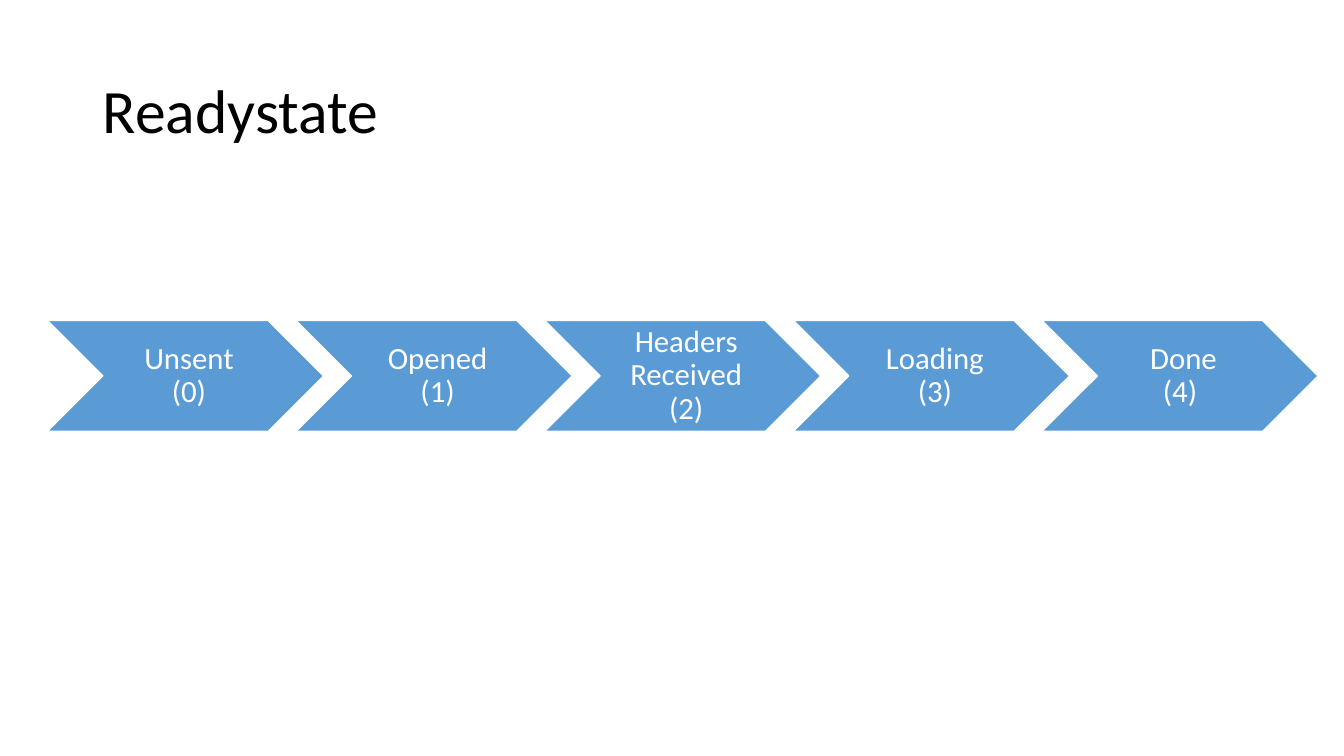
from pptx import Presentation
from pptx import util as u
from pptx.dml.color import RGBColor
from pptx.enum import shapes, text

# Content
TITLE = "Readystate"
STATES = ["Unsent\n(0)", "Opened\n(1)", "Headers Received (2)", "Loading\n(3)", "Done\n(4) "]

THEME = {
    "font": "Calibri",
    "ink": RGBColor(0x00, 0x00, 0x00),
    "paper": RGBColor(0xFF, 0xFF, 0xFF),
    "step": RGBColor(0x5B, 0x9B, 0xD5),
    "title": 44,
    "label": 22,
}

# Layout, in inches
WIDE, HIGH = 13.33, 7.5
TITLE_BOX = (0.92, 0.4, 11.5, 1.45)
STEP_W, STEP_H = 2.74, 1.1
LEFT, TOP = 0.47, 3.18
PITCH = 0.9 * STEP_W  # each step overlaps the last by a tenth


def place(shape, *box):
    shape.left, shape.top, shape.width, shape.height = map(u.Inches, box)


def write(shape, words, size, color, align):
    frame = shape.text_frame
    frame.word_wrap = True
    frame.vertical_anchor = text.MSO_ANCHOR.MIDDLE
    para = frame.paragraphs[0]
    para.text = words
    para.alignment = align
    para.line_spacing = 0.9
    para.font.name = THEME["font"]
    para.font.size = u.Pt(size)
    para.font.color.rgb = color
    return frame


def add_step(slide, index, words):
    box = (LEFT + index * PITCH, TOP, STEP_W, STEP_H)
    step = slide.shapes.add_shape(shapes.MSO_SHAPE.CHEVRON, *map(u.Inches, box))
    step.shadow.inherit = False
    step.fill.solid()
    step.fill.fore_color.rgb = THEME["step"]
    step.line.color.rgb = THEME["paper"]
    step.line.width = u.Pt(1)
    frame = write(step, words, THEME["label"], THEME["paper"], text.PP_ALIGN.CENTER)
    frame.margin_left = u.Inches(0.1)
    frame.margin_right = frame.margin_top = frame.margin_bottom = u.Inches(0.03)


def main():
    deck = Presentation()
    deck.slide_width, deck.slide_height = u.Inches(WIDE), u.Inches(HIGH)
    slide = deck.slides.add_slide(deck.slide_layouts[5])

    # Title
    title = slide.shapes.title
    place(title, *TITLE_BOX)
    write(title, TITLE, THEME["title"], THEME["ink"], text.PP_ALIGN.LEFT)

    # Chain of states
    for index, words in enumerate(STATES):
        add_step(slide, index, words)

    deck.save("out.pptx")


if __name__ == "__main__":
    main()
